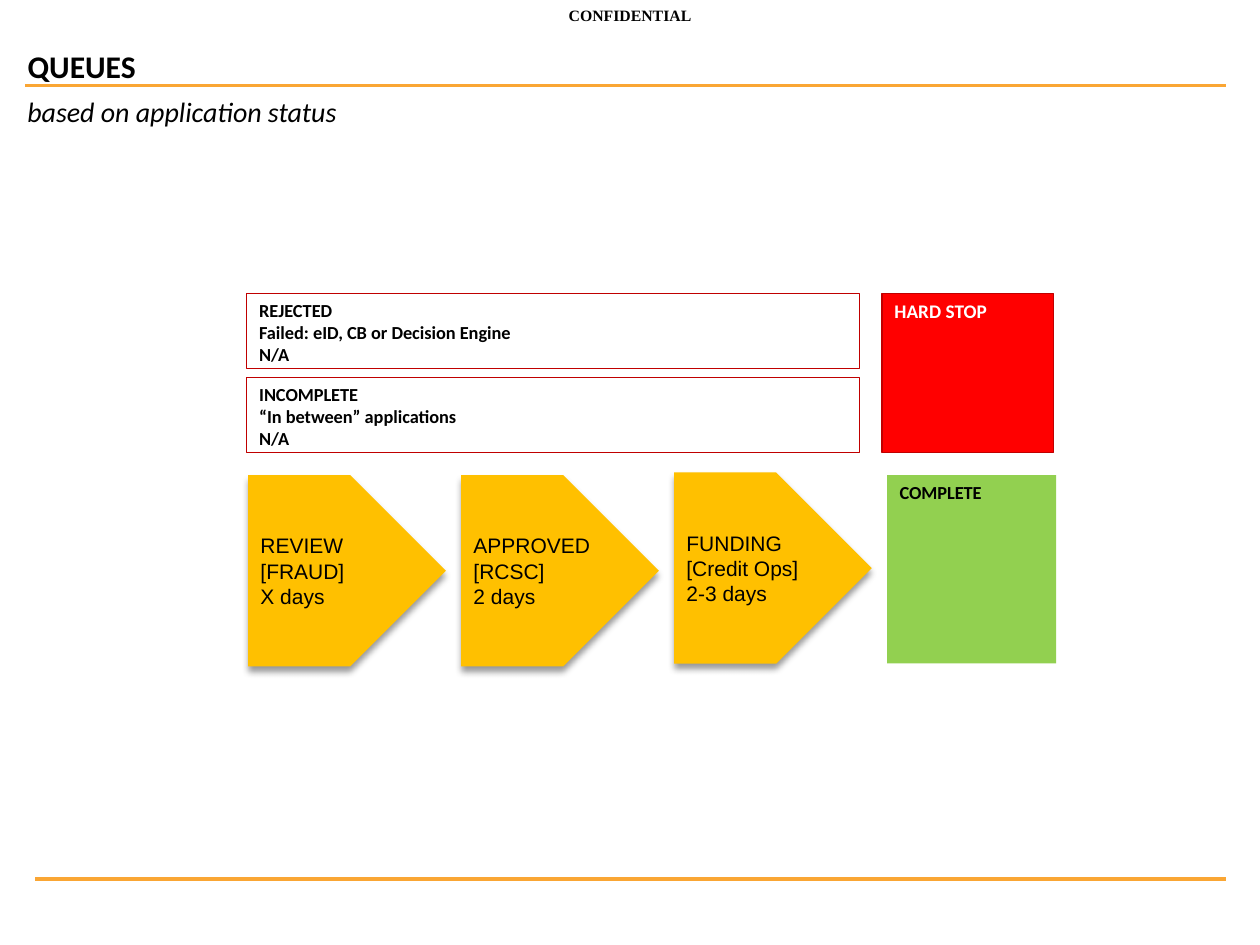
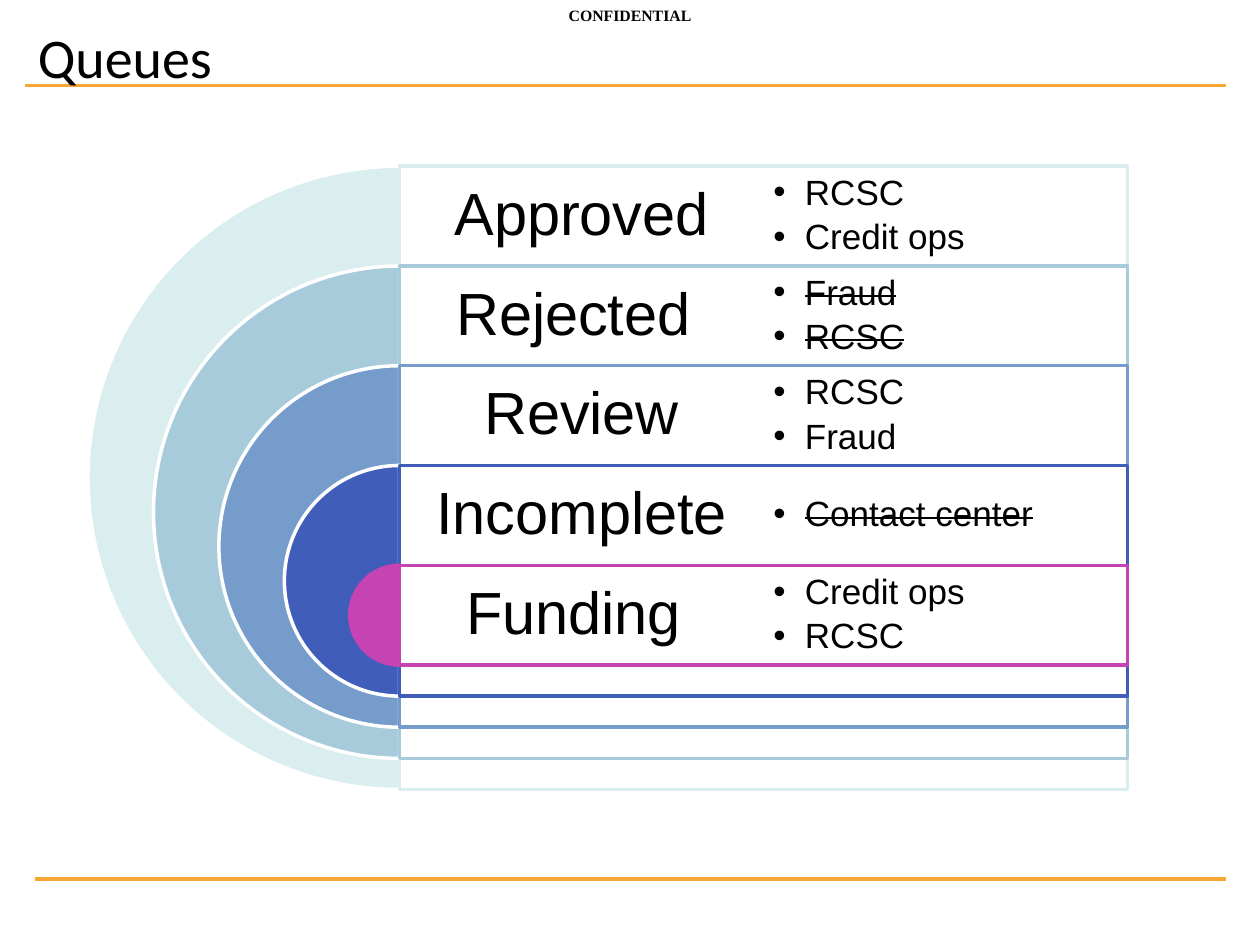
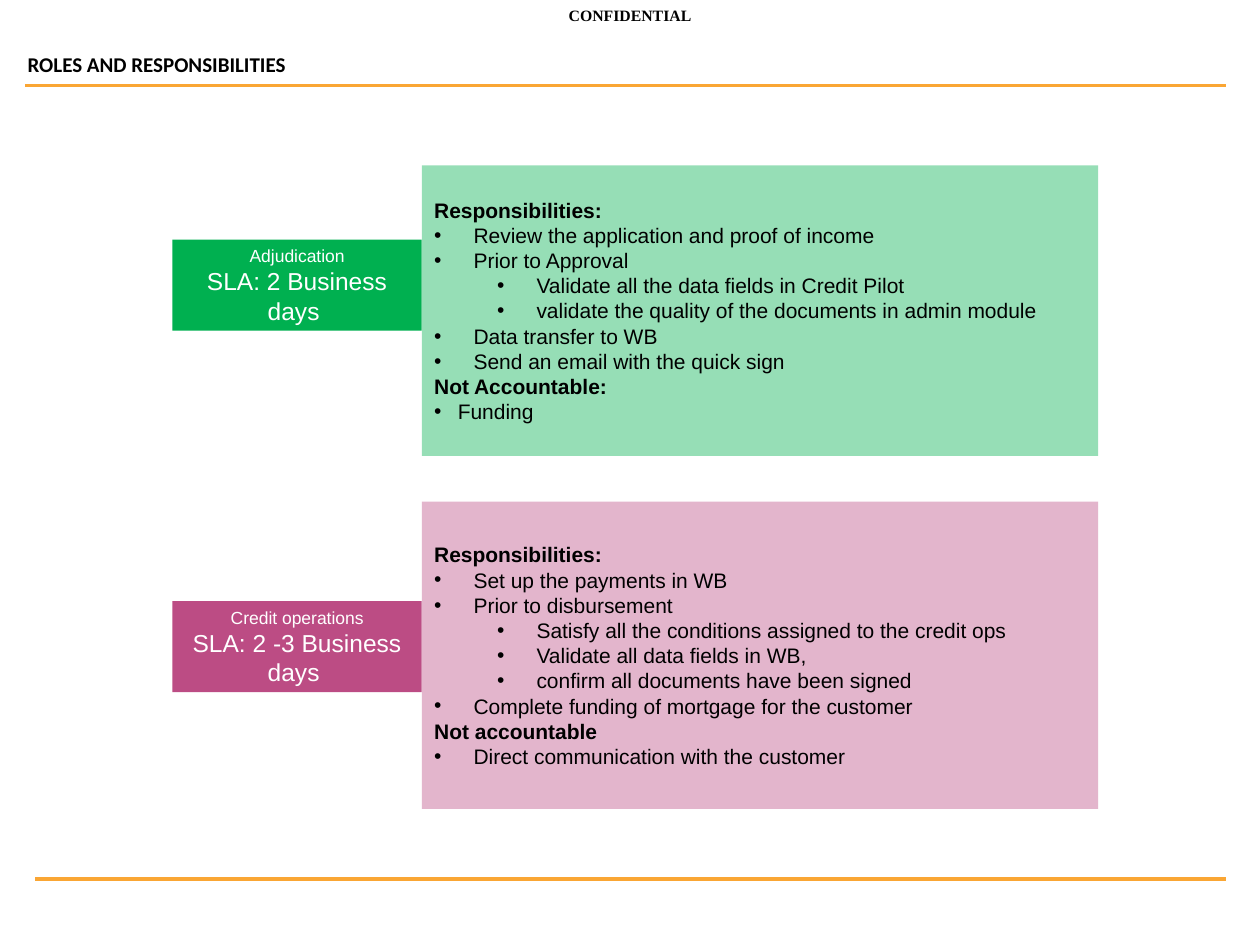
"""Build three slides on application queues, their owners and responsibilities."""
from lxml.etree import SubElement
from pptx import Presentation
from pptx.dml.color import RGBColor
from pptx.enum.shapes import MSO_CONNECTOR, MSO_SHAPE
from pptx.enum.text import MSO_ANCHOR, MSO_AUTO_SIZE, PP_ALIGN
from pptx.oxml.ns import qn
from pptx.util import Pt

BLACK = RGBColor(0x00, 0x00, 0x00)
WHITE = RGBColor(0xFF, 0xFF, 0xFF)
ORANGE = RGBColor(0xFA, 0xA6, 0x34)
DARK_RED = RGBColor(0xC0, 0x00, 0x00)
RED = RGBColor(0xFF, 0x00, 0x00)
AMBER = RGBColor(0xFF, 0xC0, 0x00)
LIME = RGBColor(0x92, 0xD0, 0x50)
GREEN = RGBColor(0x00, 0xB0, 0x50)
PLUM = RGBColor(0xBC, 0x4C, 0x84)
ICE = RGBColor(0xDA, 0xED, 0xEF)
MIST = RGBColor(0xA8, 0xCB, 0xDC)
STEEL = RGBColor(0x75, 0x9C, 0xCB)
ROYAL = RGBColor(0x41, 0x5D, 0xBA)
MAGENTA = RGBColor(0xC5, 0x43, 0xB2)
TOP, MIDDLE = MSO_ANCHOR.TOP, MSO_ANCHOR.MIDDLE
LEFT, CENTER = PP_ALIGN.LEFT, PP_ALIGN.CENTER


def add_box(slide, preset, bounds, fill=None, line=None, weight=0.75, opacity=100):
    """Add a preset shape with the given fill, outline and opacity."""
    box = slide.shapes.add_shape(preset, *map(Pt, bounds))
    box.shadow.inherit = False
    if fill is None:
        box.fill.background()
    else:
        box.fill.solid()
        box.fill.fore_color.rgb = fill
        if opacity < 100:
            color = box._element.spPr.find(qn("a:solidFill"))[0]
            SubElement(color, qn("a:alpha"), val=str(opacity * 1000))
    if line is None:
        box.line.fill.background()
    else:
        box.line.color.rgb = line
        box.line.width = Pt(weight)
    return box


def write(shape, lines, face, size, color=BLACK, bold=False, anchor=TOP, align=LEFT, margins=()):
    """Fill a shape with paragraphs; a positive margin gives its line a bullet."""
    frame = shape.text_frame
    frame.text = "\n".join(lines)
    frame.word_wrap = True
    frame.auto_size = MSO_AUTO_SIZE.NONE
    frame.vertical_anchor = anchor
    for paragraph, margin in zip(frame.paragraphs, margins or [0] * len(lines)):
        paragraph.alignment = align
        if margin:
            properties = paragraph._p.get_or_add_pPr()
            properties.set("marL", str(Pt(margin)))
            properties.set("indent", str(-Pt(min(margin, 22.5))))
            SubElement(properties, qn("a:buFont"), typeface="Arial")
            SubElement(properties, qn("a:buChar"), char="•")
        for run in paragraph.runs:
            run.font.name = face
            run.font.size = Pt(size)
            run.font.bold = bold
            run.font.color.rgb = color
    return frame


prs = Presentation()
prs.slide_width, prs.slide_height = Pt(720), Pt(540)
layout = prs.slide_layouts.get_by_name("Title Only")
for placeholder in list(layout.placeholders)[1:]:
    layout.shapes._spTree.remove(placeholder._element)

headings = [
    ("QUEUES", (8.6, 23, 316, 29), 18, True),
    ("Queues", (14.4, 9.4, 229, 46), 32, False),
    ("ROLES AND RESPONSIBILITIES", (8.6, 26, 408, 22), 12, True),
]
slides = []
for heading, bounds, size, bold in headings:
    slide = prs.slides.add_slide(layout)
    title = slide.shapes.title
    title.left, title.top, title.width, title.height = map(Pt, bounds)
    write(title, [heading], "Calibri", size, bold=bold)
    slides.append(slide)
status_slide, owners_slide, roles_slide = slides

furniture = []
for start, y, weight in [(14.4, 49, 2), (20.2, 502.5, 2.25)]:
    rule = status_slide.shapes.add_connector(MSO_CONNECTOR.STRAIGHT, Pt(start), Pt(y), Pt(700.5), Pt(y))
    rule.line.color.rgb = ORANGE
    rule.line.width = Pt(weight)
    SubElement(rule._element.spPr, qn("a:effectLst"))
    furniture.append(rule)
marking = status_slide.shapes.add_textbox(0, 0, Pt(720), Pt(18))
write(marking, ["CONFIDENTIAL"], "Times New Roman", 9, bold=True, align=CENTER)
furniture.append(marking)
for item in furniture:
    layout.shapes._spTree.append(item._element)

subtitle = status_slide.shapes.add_textbox(Pt(8.6), Pt(50.4), Pt(316), Pt(27))
write(subtitle, ["based on application status"], "Calibri", 16)
subtitle.text_frame.paragraphs[0].runs[0].font.italic = True

stopped = [
    ("REJECTED", "Failed: eID, CB or Decision Engine", "N/A"),
    ("INCOMPLETE", "“In between” applications", "N/A"),
]
for row, lines in enumerate(stopped):
    queue = add_box(status_slide, MSO_SHAPE.RECTANGLE, (141, 167.6 + 48 * row, 350, 43), line=DARK_RED)
    write(queue, lines, "Calibri", 10.5, bold=True)

steps = [
    (("REVIEW", "[FRAUD]", "X days"), 271.5),
    (("APPROVED", "[RCSC]", "2 days"), 271.5),
    (("FUNDING", "[Credit Ops]", "2-3 days"), 270),
]
for column, (lines, top) in enumerate(steps):
    step = add_box(status_slide, MSO_SHAPE.PENTAGON, (141.8 + 121.7 * column, top, 113, 109.3), AMBER)
    write(step, lines, "Arial", 12, anchor=MIDDLE)
    effects = step._element.spPr.find(qn("a:effectLst"))
    shadow = SubElement(effects, qn("a:outerShdw"), blurRad=str(Pt(4)), dist=str(Pt(3)),
                        dir="5400000", rotWithShape="0")
    shade = SubElement(shadow, qn("a:srgbClr"), val=str(BLACK))
    SubElement(shade, qn("a:alpha"), val="40000")

complete = add_box(status_slide, MSO_SHAPE.RECTANGLE, (507, 271.5, 96.5, 107.6), LIME)
write(complete, ["COMPLETE"], "Calibri", 10.5, bold=True)
hard_stop = add_box(status_slide, MSO_SHAPE.RECTANGLE, (504, 167.6, 98, 91), RED, DARK_RED)
write(hard_stop, ["HARD STOP"], "Calibri", 11, WHITE, True)

queues = [
    ("Approved", ["RCSC", "Credit ops"], ICE, False),
    ("Rejected ", ["Fraud", "RCSC"], MIST, True),
    ("Review", ["RCSC", "Fraud"], STEEL, False),
    ("Incomplete", ["Contact center"], ROYAL, True),
    ("Funding ", ["Credit ops", "RCSC"], MAGENTA, False),
]
AXIS, FIRST_TOP, ROW, RING_STEP, HALF = 228.4, 95, 57, 74.8, 208
for index, (queue, owners, color, struck) in enumerate(queues):
    innermost = index == len(queues) - 1
    top = FIRST_TOP + ROW * index
    diameter = ROW + RING_STEP * (len(queues) - 1 - index)
    ring = add_box(owners_slide, MSO_SHAPE.PIE, (AXIS - diameter / 2, top, diameter, diameter),
                   color, color if innermost else WHITE, 2)
    ring.adjustments[0], ring.adjustments[1] = 54, 162
    add_box(owners_slide, MSO_SHAPE.RECTANGLE, (AXIS, top, 2 * HALF, diameter), WHITE, color, 2,
            100 if innermost else 90)

    label = owners_slide.shapes.add_textbox(Pt(AXIS), Pt(top), Pt(HALF), Pt(ROW))
    label_frame = write(label, [queue], "Arial", 34, anchor=MIDDLE, align=CENTER)
    owner_list = owners_slide.shapes.add_textbox(Pt(AXIS + HALF), Pt(top), Pt(HALF), Pt(ROW))
    owner_frame = write(owner_list, owners, "Arial", 20, anchor=MIDDLE, margins=[18] * len(owners))
    for frame, inset in [(label_frame, 10), (owner_frame, 5.6)]:
        frame.margin_left = frame.margin_right = frame.margin_top = frame.margin_bottom = Pt(inset)
        for paragraph in frame.paragraphs:
            paragraph.line_spacing = 0.9
    for paragraph in owner_frame.paragraphs:
        paragraph.level = 1
        paragraph.space_after = Pt(3.6)
        if struck:
            paragraph.runs[0]._r.get_or_add_rPr().set("strike", "sngStrike")

roles = [
    (GREEN, ["Adjudication", "SLA: 2 Business days "], 137, 94.5, 166, [
        ("Responsibilities:", 0),
        ("Review the application and proof of income", 22.5),
        ("Prior to Approval", 22.5),
        ("Validate all the data fields in Credit Pilot", 58.5),
        ("validate the quality of the documents in admin module", 58.5),
        ("Data transfer to WB", 22.5),
        ("Send an email with the quick sign", 22.5),
        ("Not Accountable:", 0),
        ("Funding", 13.5),
    ]),
    (PLUM, ["Credit operations", "SLA: 2 -3 Business days "], 343.5, 286.6, 175.6, [
        ("Responsibilities:", 0),
        ("Set up the payments in WB", 22.5),
        ("Prior to disbursement", 22.5),
        ("Satisfy all the conditions assigned to the credit ops", 58.5),
        ("Validate all data fields in WB,", 58.5),
        ("confirm all documents have been signed", 58.5),
        ("Complete funding of mortgage for the customer", 22.5),
        ("Not accountable", 0),
        ("Direct communication with the customer", 22.5),
    ]),
]
for color, team, team_top, duties_top, duties_height, duties in roles:
    tab = add_box(roles_slide, MSO_SHAPE.RECTANGLE, (98.5, team_top, 142.5, 52), color)
    team_frame = write(tab, team, "Arial", 14, WHITE, anchor=MIDDLE, align=CENTER)
    team_frame.paragraphs[0].runs[0].font.size = Pt(10)

    panel = add_box(roles_slide, MSO_SHAPE.RECTANGLE, (241, duties_top, 386.5, duties_height), color, opacity=41)
    lines, margins = zip(*duties)
    duties_frame = write(panel, lines, "Arial", 12, anchor=MIDDLE, margins=margins)
    for paragraph, margin in zip(duties_frame.paragraphs, margins):
        paragraph.level = int(margin > 22.5)
        paragraph.runs[0].font.bold = margin == 0

prs.save("out.pptx")
